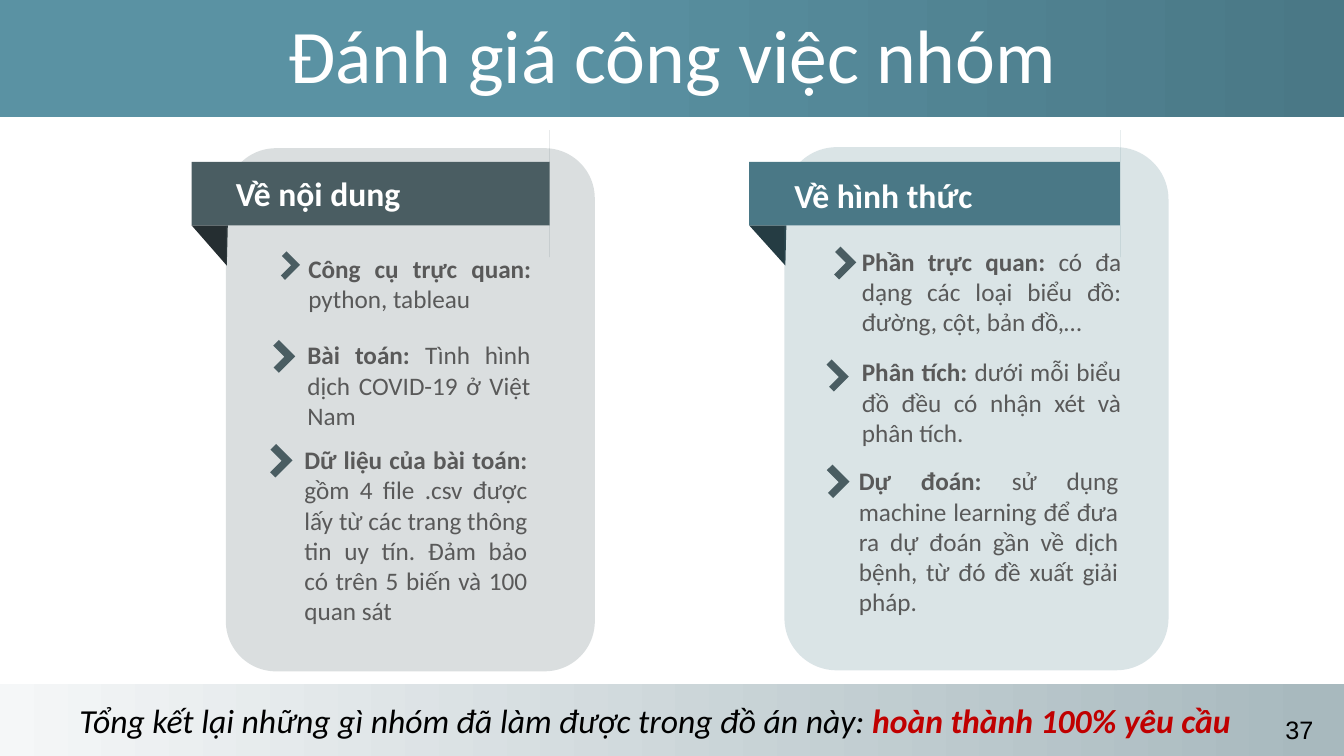
from pptx import Presentation
from pptx.dml.color import RGBColor
from pptx.enum.shapes import MSO_SHAPE
from pptx.enum.text import MSO_ANCHOR, MSO_AUTO_SIZE, PP_ALIGN
from pptx.oxml.ns import qn
from pptx.util import Inches, Pt
from lxml import etree

RECTANGLE = MSO_SHAPE.RECTANGLE
ROUNDED = MSO_SHAPE.ROUNDED_RECTANGLE
RIBBON = MSO_SHAPE.RIGHT_ARROW
CORNER = MSO_SHAPE.CORNER
MIDDLE, TOP = MSO_ANCHOR.MIDDLE, MSO_ANCHOR.TOP
FIT_TEXT, FIXED = MSO_AUTO_SIZE.SHAPE_TO_FIT_TEXT, MSO_AUTO_SIZE.NONE
LEFT, CENTER, JUSTIFY = PP_ALIGN.LEFT, PP_ALIGN.CENTER, PP_ALIGN.JUSTIFY

WHITE = RGBColor(0xFF, 0xFF, 0xFF)
BLACK = RGBColor(0x00, 0x00, 0x00)
RED = RGBColor(0xC0, 0x00, 0x00)
GRAY = RGBColor(0x59, 0x59, 0x59)
SLATE = RGBColor(0x4A, 0x5D, 0x62)
SLATE_DARK = RGBColor(0x25, 0x2E, 0x31)
TEAL = RGBColor(0x4A, 0x78, 0x86)
TEAL_LIGHT = RGBColor(0x5A, 0x92, 0xA3)
TEAL_DARK = RGBColor(0x25, 0x3C, 0x43)
MIST = RGBColor(0xF5, 0xF7, 0xF8)
MIST_DARK = RGBColor(0xA8, 0xB9, 0xBE)

TITLE = {"size": Pt(54), "name": "Calibri"}
HEADING = {"size": Pt(24), "name": "Calibri", "bold": True}
SUMMARY = {"size": Pt(24), "name": "Calibri", "italic": True}
BODY = {"size": Pt(18), "name": "Calibri"}
NUMBER = {"size": Pt(18), "name": "Arial"}
STRONG = {"bold": True}

PANELS = [
    {
        "heading": "Về nội dung", "heading_box": (2.24, 1.67, 3.13, 0.47),
        "color": SLATE, "fold_color": SLATE_DARK,
        "card": (2.24, 1.47, 3.66, 5.19), "ribbon": (1.9, 1.29, 3.55, 1.26),
        "items": [
            ("Công cụ trực quan: ", "python, tableau",
             (2.96, 2.46, 2.41, 0.65), (2.74, 2.53, 0.19, 0.21)),
            ("Bài toán: ", "Tình hình dịch COVID-19 ở Việt Nam",
             (2.95, 3.32, 2.41, 0.93), (2.65, 3.42, 0.23, 0.23)),
            ("Dữ liệu của bài toán: ",
             "gồm 4 file .csv được lấy từ các trang thông tin uy tín. "
             "Đảm bảo có trên 5 biến và 100 quan sát",
             (2.92, 4.36, 2.41, 1.78), (2.62, 4.45, 0.23, 0.24)),
        ],
    },
    {
        "heading": "Về hình thức", "heading_box": (7.78, 1.69, 3.26, 0.47),
        "color": TEAL, "fold_color": TEAL_DARK,
        "card": (7.78, 1.46, 3.81, 5.19), "ribbon": (7.43, 1.29, 3.68, 1.26),
        "items": [
            ("Phần trực quan: ",
             "có đa dạng các loại biểu đồ: đường, cột, bản đồ,…",
             (8.45, 2.39, 2.77, 0.95), (8.22, 2.49, 0.22, 0.24)),
            ("Phân tích: ", "dưới mỗi biểu đồ đều có nhận xét và phân tích.",
             (8.45, 3.49, 2.77, 0.95), (8.14, 3.62, 0.24, 0.21)),
            ("Dự đoán: ",
             "sử dụng machine learning để đưa ra dự đoán gần về dịch bệnh, "
             "từ đó đề xuất giải pháp.",
             (8.42, 4.57, 2.77, 1.23), (8.14, 4.66, 0.24, 0.23)),
        ],
    },
]


class ReviewSlide:
    """Draws the bands, panels and texts of one review slide."""

    def __init__(self, slide):
        self.slide = slide
        self.shapes = slide.shapes

    def shape(self, kind, box, color=None, adjustments=(), rotation=0):
        shape = self.shapes.add_shape(kind, *map(Inches, box))
        for index, value in enumerate(adjustments):
            shape.adjustments[index] = value
        shape.rotation = rotation
        return self.paint(shape, color)

    def paint(self, shape, color):
        shape.shadow.inherit = False
        shape.line.fill.background()
        if color is not None:
            shape.fill.solid()
            shape.fill.fore_color.rgb = color
        return shape

    def band(self, box, stops):
        fill = self.shape(RECTANGLE, box).fill
        fill.gradient()
        fill.gradient_angle = 0
        for stop, (position, color) in zip(fill.gradient_stops, stops):
            stop.position = position
            stop.color.rgb = color

    def card(self, box, color):
        card = self.shape(ROUNDED, box, color, [0.136])
        tint = card.element.spPr.find(".//" + qn("a:srgbClr"))
        etree.SubElement(tint, qn("a:alpha"), val="20000")

    def fold(self, left, right, top, color):
        points = [(right, top), (right - 0.01, top + 0.4)]
        outline = self.shapes.build_freeform(Inches(left), Inches(top))
        outline.add_line_segments([(Inches(x), Inches(y)) for x, y in points])
        self.paint(outline.convert_to_shape(), color)

    def text(self, box, runs, style, align=LEFT, anchor=TOP, fit=FIT_TEXT, spacing=None):
        frame = self.shapes.add_textbox(*map(Inches, box)).text_frame
        layout = {"word_wrap": True, "auto_size": fit, "vertical_anchor": anchor}
        for key, value in layout.items():
            setattr(frame, key, value)
        paragraph = frame.paragraphs[0]
        for key, value in {"alignment": align, "line_spacing": spacing}.items():
            setattr(paragraph, key, value)
        for words, color, extra in runs:
            run = paragraph.add_run()
            run.text = words
            for key, value in {**style, **extra}.items():
                setattr(run.font, key, value)
            run.font.color.rgb = color

    def panel(self, content):
        self.shapes = self.slide.shapes.add_group_shape().shapes
        left, top, _, height = content["ribbon"]
        self.fold(left, content["card"][0] + 0.02, top + height * 0.75, content["fold_color"])
        self.card(content["card"], content["color"])
        self.shape(RIBBON, content["ribbon"], content["color"], [0.5, 0])
        self.text(content["heading_box"], [(content["heading"], WHITE, {})], HEADING)
        for label, detail, box, chevron in content["items"]:
            self.shape(CORNER, chevron, SLATE, [0.344, 0.318], 225)
            self.text(box, [(label, GRAY, STRONG), (detail, GRAY, {})], BODY, JUSTIFY)
        self.shapes = self.slide.shapes


def main():
    deck = Presentation()
    deck.slide_width, deck.slide_height = Inches(13.33), Inches(7.5)
    review = ReviewSlide(deck.slides.add_slide(deck.slide_layouts[6]))
    review.band((0, 0, 13.33, 1.16), [(0.38, TEAL_LIGHT), (1, TEAL)])
    review.band((0, 6.79, 13.33, 0.71), [(0, MIST), (0.98, MIST_DARK)])
    review.text((0.34, 0.19, 12.66, 0.79), [("Đánh giá công việc nhóm", WHITE, {})],
                TITLE, CENTER, MIDDLE, FIXED, 0.9)
    review.text((0.69, 6.89, 11.96, 0.5), [
        ("Tổng kết lại những gì nhóm đã làm được trong đồ án này: ", BLACK, {}),
        ("hoàn thành 100% yêu cầu", RED, STRONG),
    ], SUMMARY)
    for content in PANELS:
        review.panel(content)
    review.text((12.65, 7.04, 0.5, 0.4), [("37", BLACK, {})], NUMBER)
    deck.save("out.pptx")


if __name__ == "__main__":
    main()
